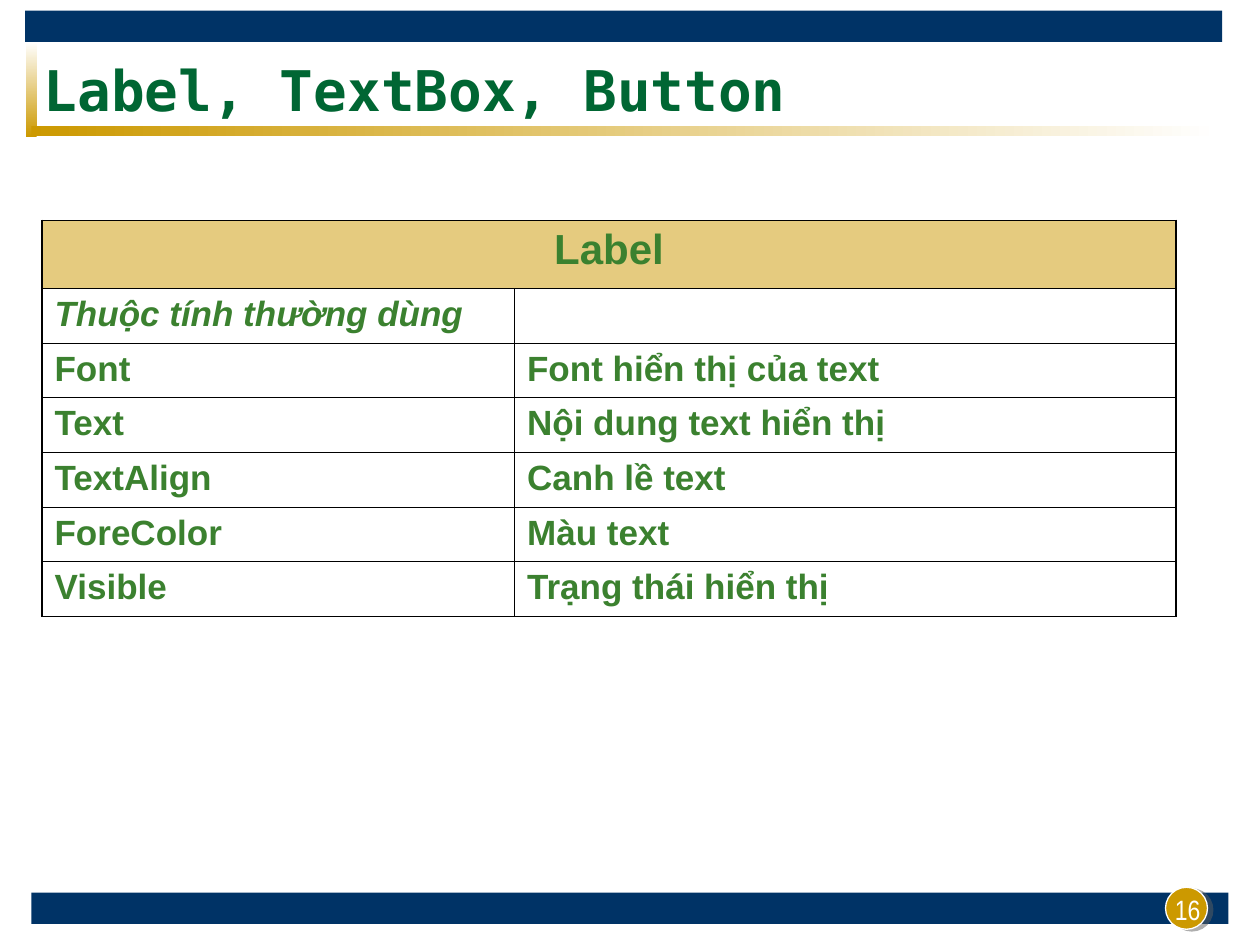
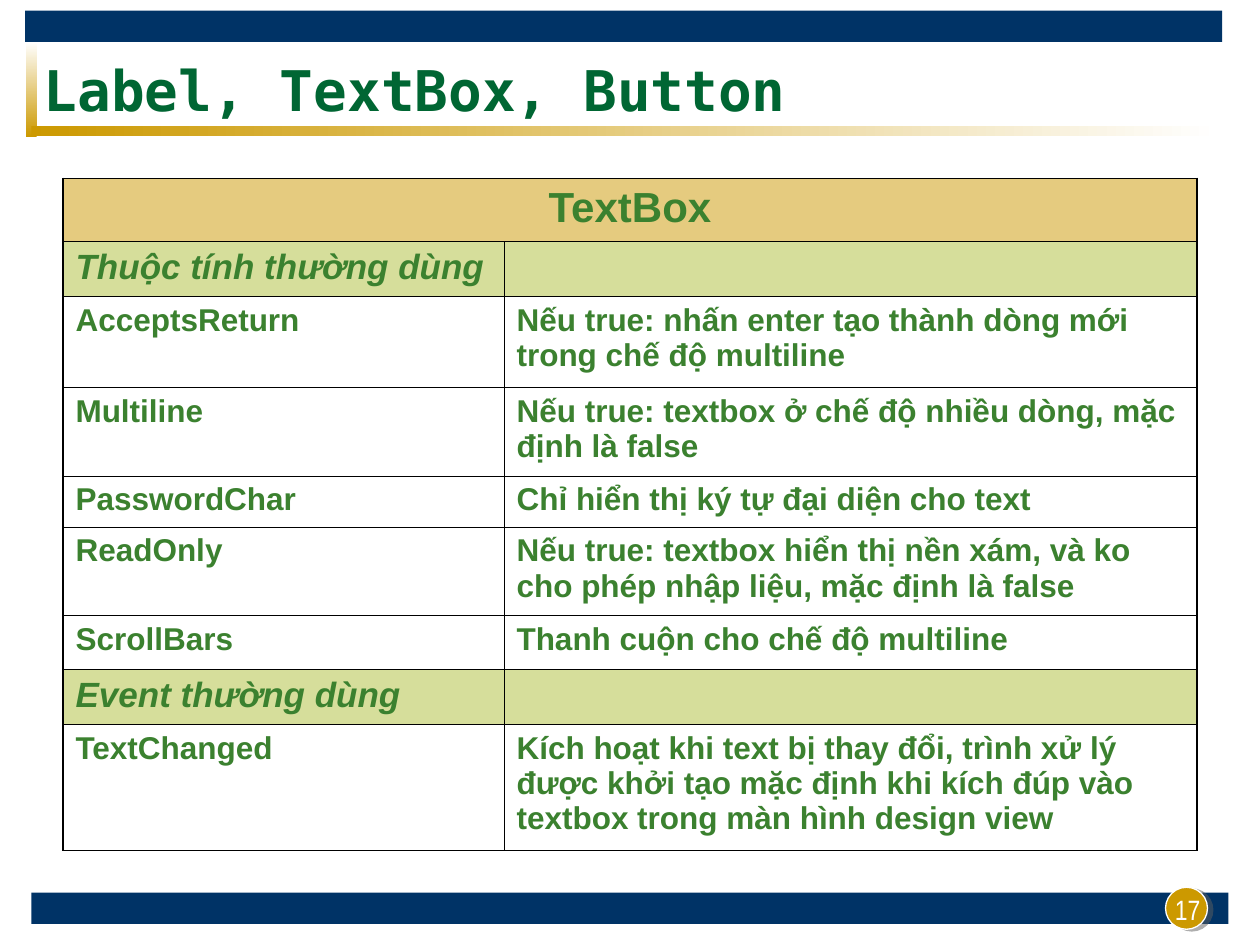
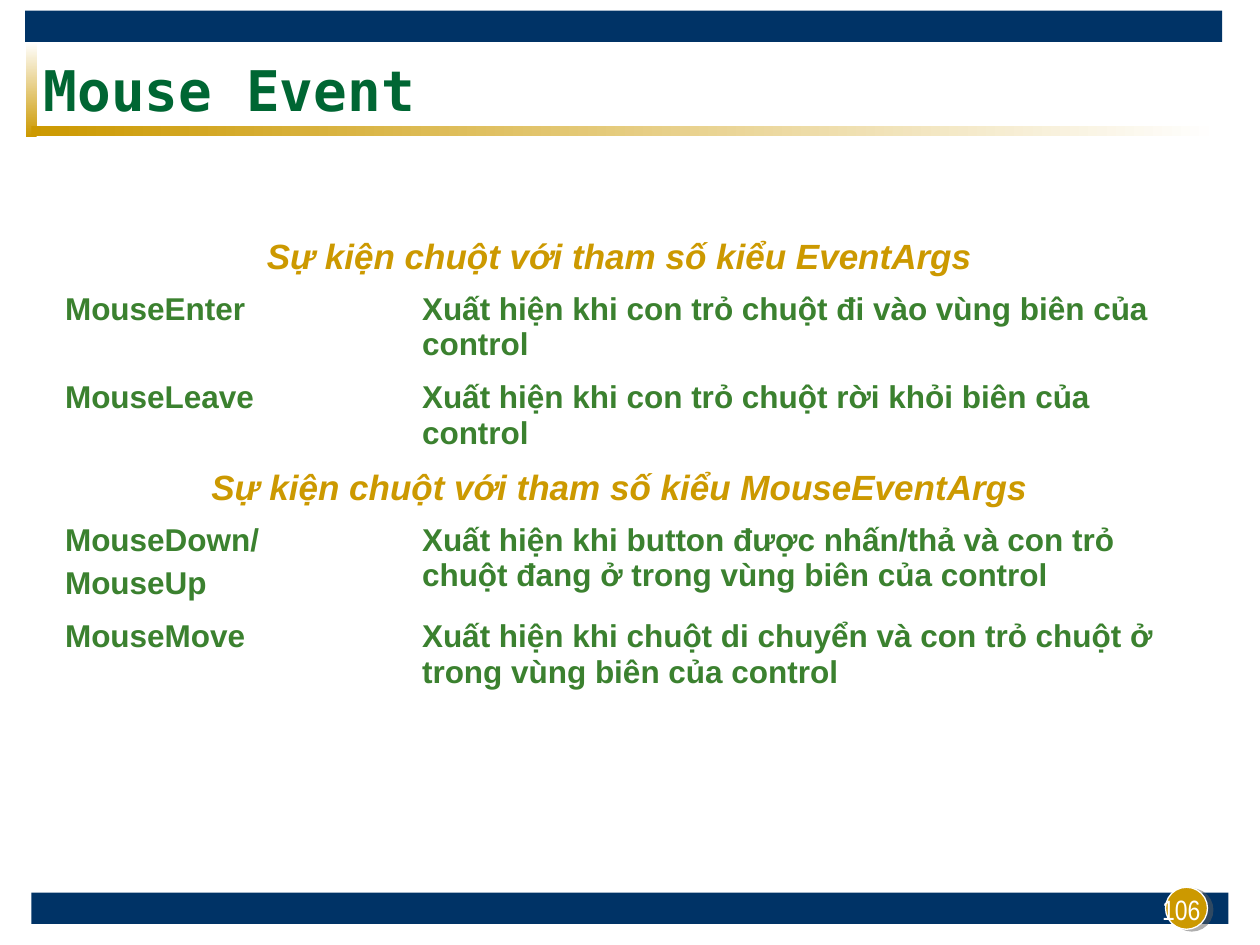
from lxml import etree
from pptx import Presentation
from pptx.dml.color import RGBColor
from pptx.enum.shapes import MSO_SHAPE
from pptx.enum.text import MSO_ANCHOR, PP_ALIGN
from pptx.oxml.ns import qn
from pptx.util import Emu, Inches, Pt

RECT, OVAL = MSO_SHAPE.RECTANGLE, MSO_SHAPE.OVAL
LEFT, CENTER, RIGHT = PP_ALIGN.LEFT, PP_ALIGN.CENTER, PP_ALIGN.RIGHT
MIDDLE, BOTTOM = MSO_ANCHOR.MIDDLE, MSO_ANCHOR.BOTTOM
NO_TABLE_STYLE = "{2D5ABB26-0587-4C30-8999-92F81FD0307C}"


class Theme:
    # Grid of 120 columns by 90 rows
    COLS, ROWS = 120, 90
    NAVY, GOLD, WHITE, BLACK = "003366", "CC9900", "FFFFFF", "000000"
    TITLE_GREEN, GREEN, LIME, GRAY = "006633", "3B812F", "AFBF39", "5F5F5F"
    OUTER, INNER = 1.08, 0.45
    TITLE = dict(name="DejaVu Sans Mono", size=32, color=TITLE_GREEN, bold=True)
    NUMBER = dict(name="Arial Narrow", size=16, color=WHITE)
    BODY = dict(name="Arial", color=GREEN, bold=True)
    # Row kinds: font, alignment, space before, half-transparent fill
    ROW_KINDS = {
        "head": (BODY | dict(size=24), CENTER, 6, GOLD),
        "group": (BODY | dict(size=20, italic=True), LEFT, 5, LIME),
        "plain_group": (BODY | dict(size=20, italic=True), LEFT, 5, None),
        "section": (BODY | dict(size=20, italic=True, color=GOLD), CENTER, 5, None),
        "large": (BODY | dict(size=20), LEFT, 5, None),
        "item": (BODY | dict(size=18), LEFT, 4.5, None),
    }
    SPANNING = ("head", "section")


class Deck:
    def __init__(self, prs, theme):
        self.prs, self.t, self.s = prs, theme, None

    def x(self, cols):
        return Emu(round(self.prs.slide_width * cols / self.t.COLS))

    def y(self, rows):
        return Emu(round(self.prs.slide_height * rows / self.t.ROWS))

    def box(self, left, top, width, height):
        return self.x(left), self.y(top), self.x(width), self.y(height)

    def shape(self, kind, at, fill, line=None):
        sp = self.s.shapes.add_shape(kind, *self.box(*at))
        sp.shadow.inherit = False
        sp.fill.solid()
        sp.fill.fore_color.rgb = RGBColor.from_string(fill)
        if line:
            sp.line.color.rgb = RGBColor.from_string(line)
            sp.line.width = Pt(0.75)
        else:
            sp.line.fill.background()
        return sp

    def gradient(self, at, colors, angle):
        fill = self.shape(RECT, at, colors[0]).fill
        fill.gradient()
        fill.gradient_angle = angle
        for stop, color in zip(fill.gradient_stops, colors):
            stop.color.rgb = RGBColor.from_string(color)

    def badge(self, at):
        sp = self.shape(OVAL, at, self.t.GOLD, self.t.WHITE)
        effects = sp._element.spPr.find(qn("a:effectLst"))
        shadow = etree.SubElement(effects, qn("a:outerShdw"), blurRad="0",
                                  dist=str(Pt(3.2)), dir=str(18 * 60000), algn="ctr")
        color = etree.SubElement(shadow, qn("a:srgbClr"), val=self.t.GRAY)
        etree.SubElement(color, qn("a:alpha"), val="50000")

    def put_text(self, tf, text, font, align=LEFT, before=0):
        for i, line in enumerate(text.split("\n")):
            p = tf.add_paragraph() if i else tf.paragraphs[0]
            p.alignment, p.space_before = align, Pt(before)
            r = p.add_run()
            r.text = line
            for key, value in font.items():
                if key == "color":
                    r.font.color.rgb = RGBColor.from_string(value)
                else:
                    setattr(r.font, key, Pt(value) if key == "size" else value)

    def text(self, at, text, font, align, anchor):
        tf = self.s.shapes.add_textbox(*self.box(*at)).text_frame
        tf.word_wrap, tf.vertical_anchor = True, anchor
        self.put_text(tf, text, font, align)

    def slide(self, title, number):
        t = self.t
        self.s = self.prs.slides.add_slide(self.prs.slide_layouts[6])
        # Bands and title rules
        for left, top in ((3, 85), (2.4, 1)):
            self.shape(RECT, (left, top, 114, 3), t.NAVY)
        self.gradient((2.5, 4, 1, 9), (t.WHITE, t.GOLD), 270)
        self.gradient((3, 12, 113, 1), (t.GOLD, t.WHITE), 0)
        # Page number and title
        self.badge((111, 84.5, 4, 4))
        self.text((87.5, 82.8, 28, 6), str(number), t.NUMBER, RIGHT, BOTTOM)
        self.text((3, 5, 108, 7), title, t.TITLE, LEFT, MIDDLE)

    def cell_fill(self, cell, color):
        if not color:
            cell.fill.background()
            return
        cell.fill.solid()
        cell.fill.fore_color.rgb = RGBColor.from_string(color)
        clr = cell._tc.tcPr.find(".//" + qn("a:srgbClr"))
        etree.SubElement(clr, qn("a:alpha"), val="50000")

    def cell_borders(self, cell, outer):
        for i, (side, is_outer) in enumerate(outer.items()):
            width = self.t.OUTER if is_outer else self.t.INNER
            ln = etree.Element(qn("a:ln" + side), w=str(Pt(width)))
            fill = etree.SubElement(ln, qn("a:solidFill"))
            etree.SubElement(fill, qn("a:srgbClr"), val=self.t.BLACK)
            cell._tc.get_or_add_tcPr().insert(i, ln)

    def table(self, left, top, widths, rows, bordered=True):
        height = sum(row[1] for row in rows)
        frame = self.s.shapes.add_table(len(rows), len(widths),
                                        *self.box(left, top, sum(widths), height))
        tbl = frame.table
        tbl.first_row = tbl.horz_banding = False
        tbl._tbl.tblPr.find(qn("a:tableStyleId")).text = NO_TABLE_STYLE
        for col, width in zip(tbl.columns, widths):
            col.width = self.x(width)
        last_row, last_col = len(rows) - 1, len(widths) - 1
        for r, (kind, row_height, *texts) in enumerate(rows):
            tbl.rows[r].height = self.y(row_height)
            font, align, before, fill = self.t.ROW_KINDS[kind]
            spans = kind in self.t.SPANNING
            if spans:
                tbl.cell(r, 0).merge(tbl.cell(r, last_col))
            for c in range(len(widths)):
                cell = tbl.cell(r, c)
                self.cell_fill(cell, fill)
                if bordered:
                    self.cell_borders(cell, {"L": c == 0, "R": spans or c == last_col,
                                             "T": r == 0, "B": r == last_row})
                if c < len(texts):
                    self.put_text(cell.text_frame, texts[c], font, align, before)


LABEL_ROWS = [
    ("head", 6.48, "Label"),
    ("plain_group", 5.2, "Thuộc tính thường dùng"),
    ("large", 5.2, "Font", "Font hiển thị của text"),
    ("large", 5.2, "Text", "Nội dung text hiển thị"),
    ("large", 5.2, "TextAlign", "Canh lề text"),
    ("large", 5.2, "ForeColor", "Màu text"),
    ("large", 5.2, "Visible", "Trạng thái hiển thị"),
]
TEXTBOX_ROWS = [
    ("head", 6, "TextBox"),
    ("group", 5.25, "Thuộc tính thường dùng"),
    ("item", 8.65, "AcceptsReturn",
     "Nếu true: nhấn enter tạo thành dòng mới trong chế độ multiline"),
    ("item", 8.45, "Multiline",
     "Nếu true: textbox ở chế độ nhiều dòng, mặc định là false"),
    ("item", 4.85, "PasswordChar", "Chỉ hiển thị ký tự đại diện cho text"),
    ("item", 8.4, "ReadOnly",
     "Nếu true: textbox hiển thị nền xám, và ko cho phép nhập liệu, mặc định là false"),
    ("item", 5.15, "ScrollBars", "Thanh cuộn cho chế độ multiline"),
    ("group", 5.25, "Event thường dùng"),
    ("item", 12, "TextChanged",
     "Kích hoạt khi text bị thay đổi, trình xử lý được khởi tạo mặc định "
     "khi kích đúp vào textbox trong màn hình design view"),
]
MOUSE_ROWS = [
    ("section", 5.2, "Sự kiện chuột với tham số kiểu EventArgs"),
    ("item", 8.4, "MouseEnter", "Xuất hiện khi con trỏ chuột đi vào vùng biên của control"),
    ("item", 8.4, "MouseLeave", "Xuất hiện khi con trỏ chuột rời khỏi biên của control"),
    ("section", 5.2, "Sự kiện chuột với tham số kiểu MouseEventArgs"),
    ("item", 9.15, "MouseDown/\nMouseUp",
     "Xuất hiện khi button được nhấn/thả và con trỏ chuột đang ở trong vùng biên của control"),
    ("item", 8.4, "MouseMove",
     "Xuất hiện khi chuột di chuyển và con trỏ chuột ở trong vùng biên của control"),
]


def main():
    prs = Presentation()
    prs.slide_width, prs.slide_height = Inches(10), Inches(7.5)
    deck = Deck(prs, Theme)

    # Label properties
    deck.slide("Label, TextBox, Button", 16)
    deck.table(4, 21, (45, 63), LABEL_ROWS)

    # TextBox properties and events
    deck.slide("Label, TextBox, Button", 17)
    deck.table(6, 17, (42, 66), TEXTBOX_ROWS)

    # Mouse events
    deck.slide("Mouse Event", 106)
    deck.table(5, 22, (34, 74), MOUSE_ROWS, bordered=False)

    prs.save("out.pptx")


if __name__ == "__main__":
    main()
